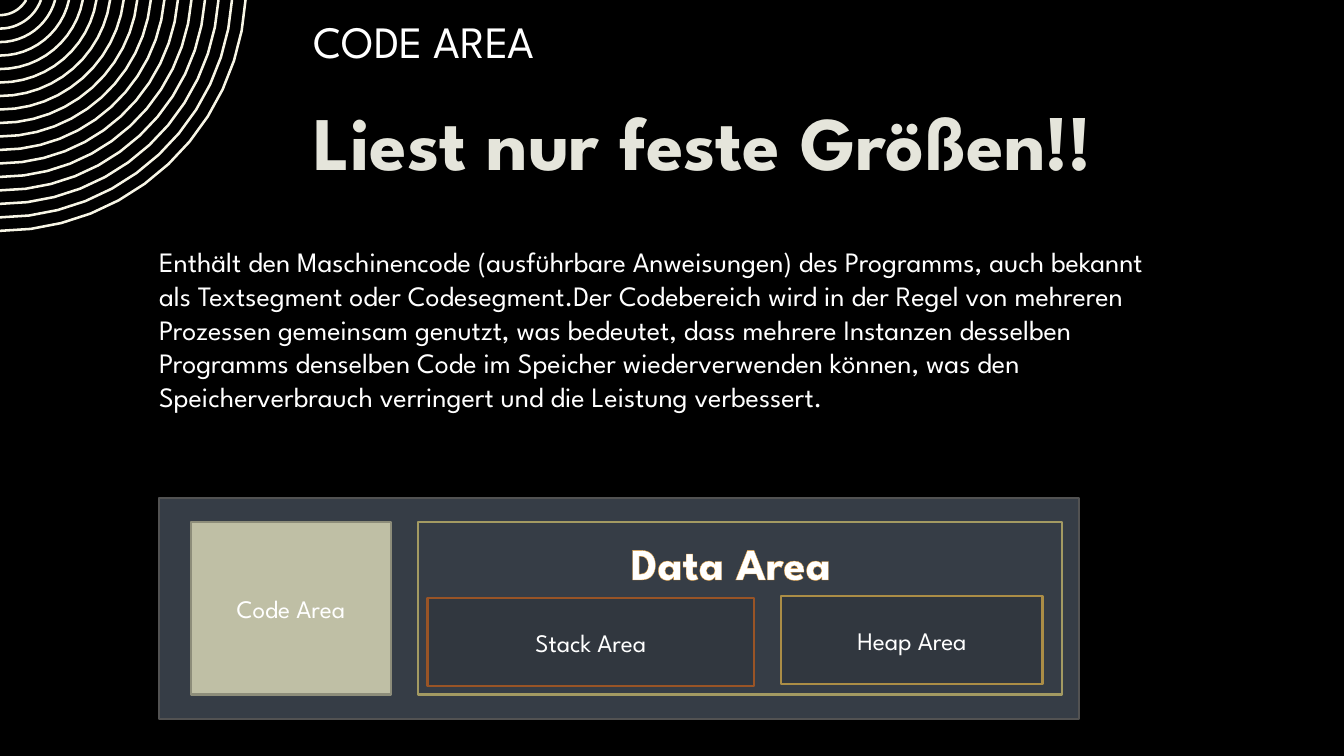
"""Builds the slide about the code area of a program's memory."""
import math
from lxml import etree
from pptx import Presentation
from pptx import util as u
from pptx.dml.color import RGBColor
from pptx.enum import shapes, text
from pptx.oxml.ns import qn

WIDTH, HEIGHT = u.Inches(13.33), u.Inches(7.5)
FONT, WHITE, CREAM = "League Spartan", "FFFFFF", "F8F6E6"
SLATE, DARK = "363D46", "31373F"

TITLE = ("CODE AREA", (22.58, 0.27, 75.92, 11.2))
HEADLINE = ("Liest nur feste Größen!!", (22.58, 11.87, 69.39, 13.47))
BODY = (
    "Enthält den Maschinencode (ausführbare Anweisungen) des Programms, auch bekannt "
    "als Textsegment oder Codesegment.Der Codebereich wird in der Regel von mehreren "
    "Prozessen gemeinsam genutzt, was bedeutet, dass mehrere Instanzen desselben "
    "Programms denselben Code im Speicher wiederverwenden können, was den "
    "Speicherverbrauch verringert und die Leistung verbessert.",
    (11.1, 31.73, 76.82, 28.27),
)
MEMORY = [
    ("", (11.85, 65.87, 68.42, 29.2), SLATE, "525252"),
    ("Code Area", (14.18, 69.07, 14.93, 22.8), "BFBFA5", "8D8D7A"),
    ("", (31.13, 69.07, 47.86, 22.8), SLATE, "A39A62"),
    ("Heap Area", (58.14, 78.8, 19.43, 11.73), DARK, "AB8D46"),
    ("Stack Area", (31.81, 79.07, 24.31, 11.73), DARK, "995426"),
]
DATA_LABEL = ("Data Area", (46.06, 70.13, 16.65, 8.53))
RINGS, INNER_REACH, OUTER_REACH = 17, 0.15, 2.29
RING_CENTER, RING_WEIGHT, ARC_STEPS = -0.15, 1.8, 12


def color(value):
    """Turn a hex string into a colour."""
    return RGBColor.from_string(value)


def place(percents):
    """Turn shares of the slide, in percent, into left, top, width and height."""
    sides = (WIDTH, HEIGHT, WIDTH, HEIGHT)
    return [round(side * share / 100) for side, share in zip(sides, percents)]


def write(box, words, size=18, ink=WHITE, bold=False, align=text.PP_ALIGN.LEFT,
          anchor=text.MSO_ANCHOR.TOP, wrap=True, outline=None, spacing=1.0):
    """Fill a shape with one formatted paragraph."""
    frame = box.text_frame
    frame.word_wrap, frame.vertical_anchor = wrap, anchor
    frame.auto_size = text.MSO_AUTO_SIZE.NONE
    para = frame.paragraphs[0]
    para.alignment, para.line_spacing = align, spacing
    span = para.add_run()
    span.text = words
    span.font.name, span.font.size, span.font.bold = FONT, u.Pt(size), bold
    span.font.color.rgb = color(ink)
    if outline:
        stroke, points = outline
        line = etree.Element(qn("a:ln"), w=str(u.Pt(points)))
        fill = etree.SubElement(line, qn("a:solidFill"))
        etree.SubElement(fill, qn("a:srgbClr"), val=stroke)
        span.font._element.insert(0, line)


def arc(reach):
    """List the points of an arc from the slide's top edge to its left edge."""
    radius = reach - RING_CENTER
    start = math.asin(-RING_CENTER / radius)
    angles = [start + (math.pi / 2 - start) * i / ARC_STEPS for i in range(ARC_STEPS + 1)]
    return [(u.Inches(radius * math.cos(a)), u.Inches(RING_CENTER + radius * math.sin(a)))
            for a in angles]


def draw_rings(page):
    """Draw the corner rings as one open outline."""
    step = (OUTER_REACH - INNER_REACH) / (RINGS - 1)
    arcs = [arc(OUTER_REACH - number * step) for number in range(RINGS)]
    builder = page.shapes.build_freeform(*arcs[0][0])
    for number, points in enumerate(arcs):
        if number:
            builder.move_to(*points[0])
        builder.add_line_segments(points[1:], close=False)
    rings = builder.convert_to_shape()
    rings.shadow.inherit = False
    rings.fill.background()
    rings.line.color.rgb, rings.line.width = color(CREAM), u.Pt(RING_WEIGHT)


def draw_memory(page):
    """Draw the grouped memory areas."""
    group = page.shapes.add_group_shape()
    center, middle = text.PP_ALIGN.CENTER, text.MSO_ANCHOR.MIDDLE
    for words, where, fill, stroke in MEMORY:
        box = group.shapes.add_shape(shapes.MSO_SHAPE.RECTANGLE, *place(where))
        box.shadow.inherit = False
        box.fill.solid()
        box.fill.fore_color.rgb = color(fill)
        box.line.color.rgb, box.line.width = color(stroke), u.Pt(1.5)
        if words:
            write(box, words, align=center, anchor=middle)
    words, where = DATA_LABEL
    label = group.shapes.add_textbox(*place(where))
    label.fill.solid()
    label.fill.fore_color.rgb = color(SLATE)
    write(label, words, size=32, bold=True, align=center, wrap=False, outline=("E9A039", 0.8))


def main():
    """Build and save the deck."""
    deck = Presentation()
    deck.slide_width, deck.slide_height = WIDTH, HEIGHT
    page = deck.slides.add_slide(deck.slide_layouts[5])
    page.background.fill.solid()
    page.background.fill.fore_color.rgb = color("000000")
    draw_rings(page)
    words, where = TITLE
    title = page.shapes.title
    title.left, title.top, title.width, title.height = place(where)
    write(title, words, size=32, anchor=text.MSO_ANCHOR.MIDDLE, spacing=0.9)
    words, where = HEADLINE
    write(page.shapes.add_textbox(*place(where)), words, size=54, ink="E5E5DB",
          bold=True, outline=("BFBFA5", 1.75))
    words, where = BODY
    write(page.shapes.add_textbox(*place(where)), words, size=20)
    draw_memory(page)
    deck.save("out.pptx")


if __name__ == "__main__":
    main()
